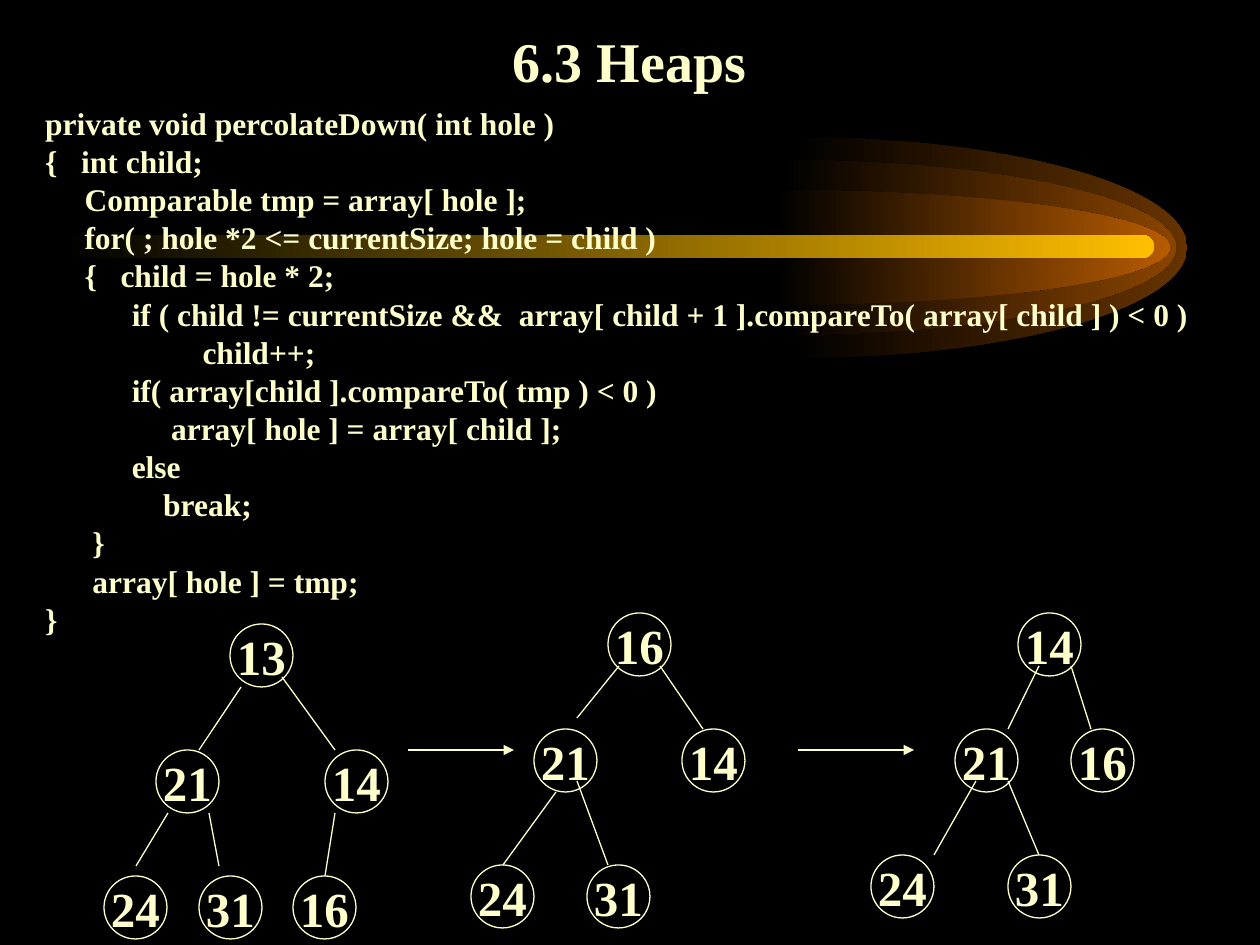
from lxml.etree import SubElement
from pptx import Presentation
from pptx.dml.color import RGBColor
from pptx.enum.shapes import MSO_CONNECTOR, MSO_SHAPE
from pptx.enum.text import MSO_ANCHOR, MSO_AUTO_SIZE, PP_ALIGN
from pptx.oxml.ns import qn
from pptx.util import Emu, Pt

COLORS = {
    "black": "000000",
    "cream": "FFFFCC",
    "brown": "663300",
    "rust": "894400",
    "orange": "B75B00",
    "gold": "FFBF00",
}

CODE = """\
 private void percolateDown( int hole )
 {   int child;
      Comparable tmp = array[ hole ];
      for( ; hole *2 <= currentSize; hole = child )
      {   child = hole * 2;
            if ( child != currentSize &&  array[ child + 1 ].compareTo( array[ child ] ) < 0 )
                     child++;
            if( array[child ].compareTo( tmp ) < 0 )
                 array[ hole ] = array[ child ];
            else
                break;
       }
       array[ hole ] = tmp;
 }"""

# Glow layers: left, top, height, colour
GLOW = [(793, 137, 221, "brown"), (782, 160, 175, "rust"), (776, 190, 115, "orange")]

# Each heap: nodes as (key, left, top), edges as (x1, y1, x2, y2)
HEAPS = [
    ([("13", 230, 624), ("21", 156, 750), ("14", 325, 750),
      ("24", 104, 876), ("31", 199, 876), ("16", 293, 876)],
     [(241, 687, 199, 750), (282, 677, 335, 750), (168, 813, 136, 866),
      (209, 813, 219, 866), (335, 813, 325, 876)]),
    ([("16", 608, 613), ("21", 534, 729), ("14", 682, 729),
      ("24", 471, 865), ("31", 587, 865)],
     [(619, 666, 577, 718), (660, 666, 703, 729),
      (556, 792, 503, 865), (577, 781, 608, 865)]),
    ([("14", 1018, 613), ("21", 955, 729), ("16", 1071, 729),
      ("24", 871, 855), ("31", 1008, 855)],
     [(1039, 666, 1008, 729), (1071, 666, 1091, 729),
      (976, 781, 934, 855), (1008, 781, 1039, 855)]),
]
STEPS = [(408, 750, 514, 750), (798, 750, 914, 750)]
BEZIER_ARC = 0.55  # control-point distance for a quarter ellipse


def px(n):
    """Turn slide pixels (126 to the inch) into EMU."""
    return Emu(round(n * 914400 / 126))


def rgb(name):
    return RGBColor.from_string(COLORS[name])


class HeapSlide:
    """Holds the slide and its common text and line style."""

    font = "Times New Roman"
    ink = "cream"
    line_width = Pt(0.75)
    node_size = 63

    def __init__(self, prs):
        self.s = prs.slides.add_slide(prs.slide_layouts[5])
        fill = self.s.background.fill
        fill.solid()
        fill.fore_color.rgb = rgb("black")

    def add_run(self, p, text, size):
        r = p.add_run()
        r.text = text
        r.font.name = self.font
        r.font.size = Pt(size)
        r.font.bold = True
        r.font.color.rgb = rgb(self.ink)

    def fade(self, sp, color):
        """Fill from black on the left to the colour on the right."""
        sp.shadow.inherit = False
        sp.line.fill.background()
        sp.fill.gradient()
        sp.fill.gradient_angle = 0
        for stop, name, place in zip(sp.fill.gradient_stops, ("black", color), (0, 1)):
            stop.color.rgb = rgb(name)
            stop.position = place

    def half_ellipse(self, left, top, width, height, color):
        """Draw a right half ellipse by bending a triangle's two sides."""
        builder = self.s.shapes.build_freeform(px(left), px(top))
        builder.add_line_segments([(px(left + width), px(top + height / 2)),
                                   (px(left), px(top + height))], close=True)
        sp = builder.convert_to_shape()
        w, h, k = sp.width, sp.height, BEZIER_ARC
        controls = [[(k * w, 0), (w, h / 2 * (1 - k))],
                    [(w, h / 2 * (1 + k)), (k * w, h)]]
        sides = list(sp._element.iter(qn("a:lnTo")))
        for side, pair in zip(sides, controls):
            side.tag = qn("a:cubicBezTo")
            for i, (x, y) in enumerate(pair):
                pt = SubElement(side, qn("a:pt"), x=str(round(x)), y=str(round(y)))
                side.insert(i, pt)
        self.fade(sp, color)

    def beam(self, left, top, width, height, color):
        sp = self.s.shapes.add_shape(MSO_SHAPE.ROUNDED_RECTANGLE,
                                     px(left), px(top), px(width), px(height))
        sp.adjustments[0] = 0.5
        self.fade(sp, color)

    def title(self, text, left, top, width, height):
        sp = self.s.shapes.title
        sp.left, sp.top, sp.width, sp.height = map(px, (left, top, width, height))
        tf = sp.text_frame
        tf.auto_size = MSO_AUTO_SIZE.NONE
        tf.vertical_anchor = MSO_ANCHOR.BOTTOM
        p = tf.paragraphs[0]
        p.alignment = PP_ALIGN.CENTER
        self.add_run(p, text, 32)

    def code(self, text, left, top, width, height):
        sp = self.s.shapes.add_textbox(px(left), px(top), px(width), px(height))
        tf = sp.text_frame
        tf.word_wrap = True
        for i, row in enumerate(text.splitlines()):
            p = tf.add_paragraph() if i else tf.paragraphs[0]
            p.line_spacing = 0.8
            p.space_before = Pt(4.5 if i else 0)
            self.add_run(p, row, 18)

    def node(self, key, left, top):
        size = px(self.node_size)
        sp = self.s.shapes.add_shape(MSO_SHAPE.OVAL, px(left), px(top), size, size)
        sp.shadow.inherit = False
        sp.fill.background()
        sp.line.color.rgb = rgb(self.ink)
        sp.line.width = self.line_width
        tf = sp.text_frame
        tf.word_wrap = False
        tf.vertical_anchor = MSO_ANCHOR.MIDDLE
        p = tf.paragraphs[0]
        p.alignment = PP_ALIGN.CENTER
        self.add_run(p, key, 28)

    def line(self, x1, y1, x2, y2, arrow=False):
        sp = self.s.shapes.add_connector(MSO_CONNECTOR.STRAIGHT,
                                         px(x1), px(y1), px(x2), px(y2))
        sp.line.color.rgb = rgb(self.ink)
        sp.line.width = self.line_width
        props = sp._element.spPr
        if arrow:
            SubElement(props.find(qn("a:ln")), qn("a:tailEnd"), type="triangle")
        SubElement(props, qn("a:effectLst"))


def main():
    prs = Presentation()
    prs.slide_width, prs.slide_height = px(1260), px(945)
    slide = HeapSlide(prs)

    for left, top, height, color in GLOW:
        slide.half_ellipse(left, top, 394, height, color)
    slide.beam(63, 235, 1091, 23, "gold")

    slide.title("6.3 Heaps", 94, 16, 1071, 84)
    slide.code(CODE, 25, 105, 1211, 556)

    for nodes, edges in HEAPS:
        for node in nodes:
            slide.node(*node)
        for edge in edges:
            slide.line(*edge)
    for step in STEPS:
        slide.line(*step, arrow=True)

    prs.save("out.pptx")


if __name__ == "__main__":
    main()
